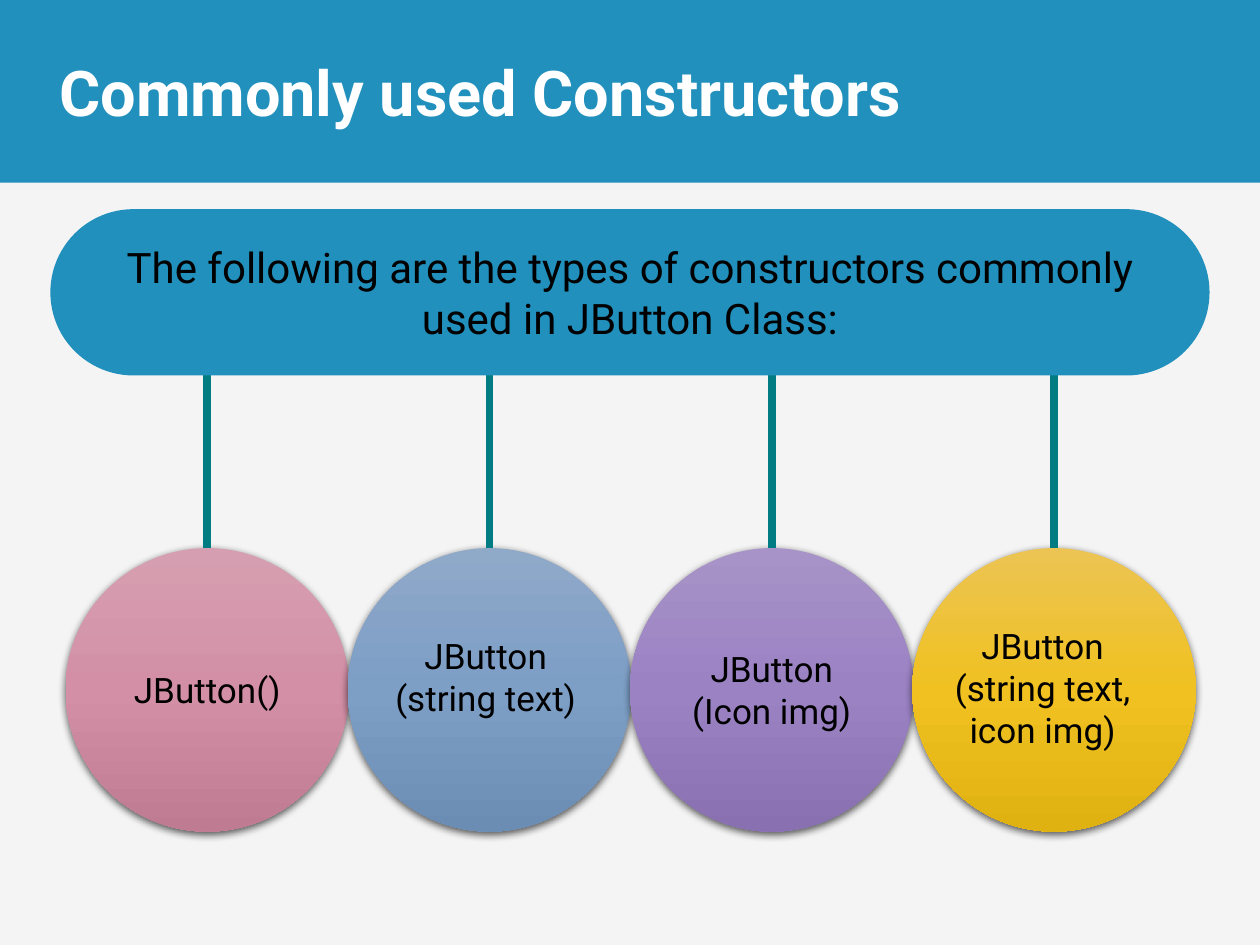
from lxml.etree import SubElement
from pptx import Presentation
from pptx.dml.color import RGBColor
from pptx.enum.shapes import MSO_CONNECTOR, MSO_SHAPE
from pptx.enum.text import MSO_ANCHOR, PP_ALIGN
from pptx.oxml.ns import qn
from pptx.util import Inches, Pt

COLORS = {
    "background": "F4F4F5",
    "banner": "2190BC",
    "stem": "017C83",
    "title": "FFFFFF",
    "text": "000000",
}
FONT = "Roboto"
CIRCLE_LEFT, CIRCLE_TOP, CIRCLE_SIZE, CIRCLE_STEP = 0.52, 4.35, 2.25, 2.24
STEM_TOP = 2.66

CONSTRUCTORS = [
    (["JButton()"], ("D69FB1", "D38FA6", "BF7B92"), None),
    (["JButton", "(string text)"], ("8FA9C9", "7D9EC5", "6B8CB3"), (2.94, 4.99, 1.83, 0.77)),
    (["JButton (Icon img)"], ("A793C7", "9B82C3", "8970B1"), None),
    (["JButton", "(string text, icon img)"], ("ECC453", "F0C120", "E0B211"), (7.36, 4.91, 1.83, 1.11)),
]


def rgb(name):
    return RGBColor.from_string(COLORS[name])


def write_text(frame, lines, size, color="text", bold=False,
               align=PP_ALIGN.CENTER, anchor=MSO_ANCHOR.MIDDLE):
    frame.word_wrap = True
    frame.vertical_anchor = anchor
    frame.text = "\n".join(lines)
    for paragraph in frame.paragraphs:
        paragraph.alignment = align
        paragraph.font.name = FONT
        paragraph.font.size = Pt(size)
        paragraph.font.bold = bold
        paragraph.font.color.rgb = rgb(color)


def add_block(slide, preset, box):
    block = slide.shapes.add_shape(preset, *map(Inches, box))
    block.shadow.inherit = False
    block.fill.solid()
    block.fill.fore_color.rgb = rgb("banner")
    block.line.fill.background()
    return block


def add_title(slide, text):
    band = add_block(slide, MSO_SHAPE.RECTANGLE, (0, 0, 10, 1.45))
    slide.shapes.element.insert(2, band.element)
    title = slide.shapes.title
    title.left, title.top, title.width, title.height = map(Inches, (0.37, 0, 8.62, 1.45))
    write_text(title.text_frame, [text], 36, "title", True, PP_ALIGN.LEFT)


def add_color(parent, value):
    return SubElement(parent, qn("a:srgbClr"), val=value)


def set_gradient(shape, stops):
    shape.fill.gradient()
    shape.fill.gradient_angle = 270
    stop_list = shape.element.spPr.find(f".//{qn('a:gsLst')}")
    for stop in list(stop_list):
        stop_list.remove(stop)
    for position, value in zip((0, 50000, 100000), stops):
        add_color(SubElement(stop_list, qn("a:gs"), pos=str(position)), value)


def set_shadow(shape):
    shape.shadow.inherit = False
    effects = shape.element.spPr.find(qn("a:effectLst"))
    shadow = SubElement(effects, qn("a:outerShdw"), blurRad=str(Pt(4.5)),
                        dist=str(Pt(1.5)), dir="5400000", rotWithShape="0")
    SubElement(add_color(shadow, COLORS["text"]), qn("a:alpha"), val="63000")


def add_circle(slide, left, stops):
    circle = slide.shapes.add_shape(
        MSO_SHAPE.OVAL, *map(Inches, (left, CIRCLE_TOP, CIRCLE_SIZE, CIRCLE_SIZE)))
    set_gradient(circle, stops)
    set_shadow(circle)
    circle.line.fill.background()
    return circle


def add_stem(slide, x):
    stem = slide.shapes.add_connector(
        MSO_CONNECTOR.STRAIGHT, *map(Inches, (x, STEM_TOP, x, CIRCLE_TOP)))
    stem.line.color.rgb = rgb("stem")
    stem.line.width = Pt(4.5)
    SubElement(stem.element.spPr, qn("a:effectLst"))


def add_constructor(slide, index, lines, stops, label_box):
    left = CIRCLE_LEFT + index * CIRCLE_STEP
    circle = add_circle(slide, left, stops)
    add_stem(slide, left + CIRCLE_SIZE / 2)
    if label_box:
        label = slide.shapes.add_textbox(*map(Inches, label_box))
        write_text(label.text_frame, lines, 20, anchor=MSO_ANCHOR.TOP)
    else:
        write_text(circle.text_frame, lines, 20)


def add_intro(slide, text):
    intro = add_block(slide, MSO_SHAPE.ROUNDED_RECTANGLE, (0.4, 1.66, 9.2, 1.32))
    intro.adjustments[0] = 0.5
    write_text(intro.text_frame, [text], 24)


def main():
    deck = Presentation()
    deck.slide_width, deck.slide_height = Inches(10), Inches(7.5)
    slide = deck.slides.add_slide(deck.slide_layouts[5])
    slide.background.fill.solid()
    slide.background.fill.fore_color.rgb = rgb("background")
    add_title(slide, "Commonly used Constructors")
    for index, constructor in enumerate(CONSTRUCTORS):
        add_constructor(slide, index, *constructor)
    add_intro(slide, "The following are the types of constructors commonly used in JButton Class:")
    deck.save("out.pptx")


if __name__ == "__main__":
    main()
